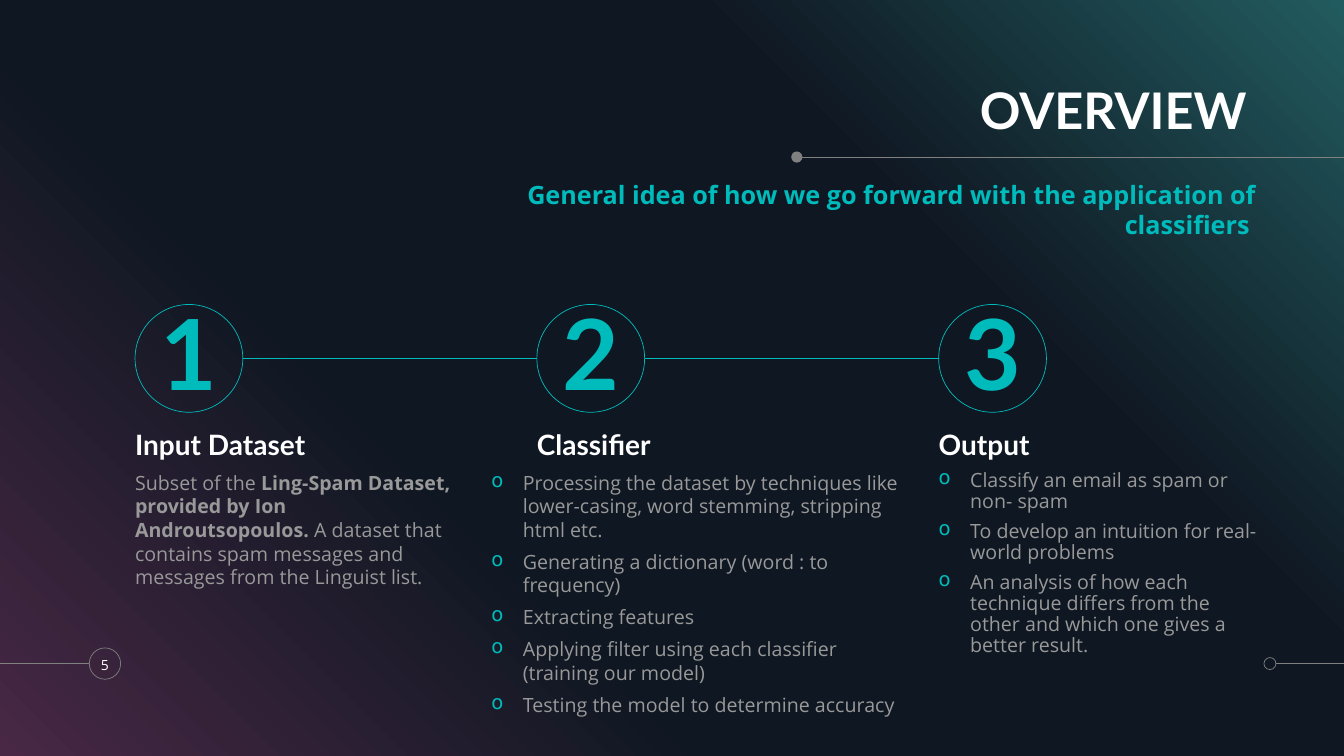
from dataclasses import dataclass
from typing import NamedTuple

from lxml import etree
from pptx import Presentation
from pptx import util as u
from pptx.dml.color import RGBColor
from pptx.enum import shapes, text
from pptx.oxml import ns


@dataclass(frozen=True)
class Theme:
    accent: str = "00BBBB"
    white: str = "FFFFFF"
    body: str = "999999"
    rule: str = "808080"
    gradient: tuple = ((0, "482845"), (34, "0F1722"), (69, "0F1722"), (100, "225B5F"))
    heading_font: str = "Lato"
    body_font: str = "Open Sans"
    title_size: float = 36
    subtitle_size: float = 18
    digit_size: float = 70
    heading_size: float = 20
    body_size: float = 14
    number_size: float = 10
    line_width: float = 0.5


class Box(NamedTuple):
    left: float
    top: float
    width: float
    height: float


class Run(NamedTuple):
    text: str
    bold: bool = False


class Style(NamedTuple):
    font: str
    size: float
    color: str
    align: text.PP_ALIGN = text.PP_ALIGN.LEFT
    anchor: text.MSO_ANCHOR = text.MSO_ANCHOR.TOP
    spacing: float = 1.0
    before: float = 0
    bullet: bool = False


class Step(NamedTuple):
    heading: str
    paragraphs: list
    body_box: Box
    body_style: Style


THEME = Theme()
ALIGN, ANCHOR = text.PP_ALIGN, text.MSO_ANCHOR
WIDTH, HEIGHT = 960, 540

TITLE = Style(THEME.heading_font, THEME.title_size, THEME.white, ALIGN.RIGHT, ANCHOR.BOTTOM, 0.9)
SUBTITLE = Style(THEME.body_font, THEME.subtitle_size, THEME.accent, ALIGN.RIGHT, before=10)
DIGIT = Style(THEME.heading_font, THEME.digit_size, THEME.accent, ALIGN.CENTER, ANCHOR.MIDDLE, 0.9, 10)
HEADING = Style(THEME.heading_font, THEME.heading_size, THEME.white, anchor=ANCHOR.BOTTOM, spacing=0.9, before=6)
BODY = Style(THEME.body_font, THEME.body_size, THEME.body, before=6)
BULLETS = BODY._replace(bullet=True)
NUMBER = Style(THEME.body_font, THEME.number_size, THEME.white, ALIGN.CENTER, ANCHOR.MIDDLE)

# Step grid
STEP_LEFT, STEP_PITCH = 96.5, 287
CIRCLE, CIRCLE_TOP = 77, 217.5
COLUMN_WIDTH, HEADING_TOP, BODY_TOP = 232, 304, 336.3
BULLET_INDENT = 22.5
FOOTER_Y = 474

STEPS = [
    Step("Input Dataset", [[
        Run("Subset of the "),
        Run("Ling-Spam Dataset, provided by Ion Androutsopoulos. ", True),
        Run("A dataset that contains spam messages and messages from the Linguist list."),
    ]], Box(STEP_LEFT, BODY_TOP, COLUMN_WIDTH, 111.5), BODY),
    Step("Classifier", [[Run(line)] for line in (
        "Processing the dataset by techniques like lower-casing, word stemming, stripping html etc.",
        "Generating a dictionary (word : to frequency)",
        "Extracting features",
        "Applying filter using each classifier (training our model)",
        "Testing the model to determine accuracy",
    )], Box(351, BODY_TOP, 299, 161), BULLETS),
    Step("Output", [[Run(line)] for line in (
        "Classify an email as spam or non- spam",
        "To develop an intuition for real-world problems",
        "An analysis of how each technique differs from the other and which one gives a better result.",
    )], Box(STEP_LEFT + 2 * STEP_PITCH, BODY_TOP, COLUMN_WIDTH, 127), BULLETS._replace(spacing=0.9)),
]


def apply(target, values: dict) -> None:
    for name, value in values.items():
        setattr(target, name, value)


def place(shape, box: Box) -> None:
    apply(shape, {name: u.Pt(value) for name, value in box._asdict().items()})


def add_bullet(paragraph) -> None:
    properties = paragraph._p.get_or_add_pPr()
    properties.set("marL", str(u.Pt(BULLET_INDENT)))
    properties.set("indent", str(-u.Pt(BULLET_INDENT)))
    color = etree.SubElement(properties, ns.qn("a:buClr"))
    etree.SubElement(color, ns.qn("a:srgbClr"), val=THEME.accent)
    etree.SubElement(properties, ns.qn("a:buChar"), char="o")


def write(shape, paragraphs: list, style: Style) -> None:
    frame = shape.text_frame
    margins = {f"margin_{side}": 0 for side in ("left", "top", "right", "bottom")}
    apply(frame, {**margins, "word_wrap": True, "auto_size": text.MSO_AUTO_SIZE.NONE,
                  "vertical_anchor": style.anchor})
    for index, runs in enumerate(paragraphs):
        paragraph = frame.add_paragraph() if index else frame.paragraphs[0]
        apply(paragraph, {"alignment": style.align, "line_spacing": style.spacing,
                          "space_before": u.Pt(style.before)})
        if style.bullet:
            add_bullet(paragraph)
        for item in runs:
            run = paragraph.add_run()
            run.text = item.text
            apply(run.font, {"name": style.font, "size": u.Pt(style.size), "bold": item.bold})
            run.font.color.rgb = RGBColor.from_string(style.color)


def add_text(slide, box: Box, paragraphs: list, style: Style) -> None:
    write(slide.shapes.add_textbox(*map(u.Pt, box)), paragraphs, style)


def add_circle(slide, box: Box, color: str, filled: bool = False):
    shape = slide.shapes.add_shape(shapes.MSO_SHAPE.OVAL, *map(u.Pt, box))
    shape.shadow.inherit = False
    if filled:
        shape.fill.solid()
        shape.fill.fore_color.rgb = RGBColor.from_string(color)
        shape.line.fill.background()
    else:
        shape.fill.background()
        shape.line.color.rgb = RGBColor.from_string(color)
        shape.line.width = u.Pt(THEME.line_width)
    return shape


def add_rule(slide, start: float, end: float, y: float, color: str) -> None:
    rule = slide.shapes.add_connector(shapes.MSO_CONNECTOR.STRAIGHT, *map(u.Pt, (start, y, end, y)))
    rule.line.color.rgb = RGBColor.from_string(color)
    rule.line.width = u.Pt(THEME.line_width)
    etree.SubElement(rule._element.spPr, ns.qn("a:effectLst"))


def set_background(slide) -> None:
    fill = slide.background.fill
    fill.gradient()
    fill.gradient_angle = 45
    stops = slide.element.find(".//" + ns.qn("a:gsLst"))
    for stop in list(stops):
        stops.remove(stop)
    for position, color in THEME.gradient:
        stop = etree.SubElement(stops, ns.qn("a:gs"), pos=str(position * 1000))
        etree.SubElement(stop, ns.qn("a:srgbClr"), val=color)


def add_step(slide, index: int, step: Step) -> None:
    left = STEP_LEFT + index * STEP_PITCH
    if index:
        add_rule(slide, left - STEP_PITCH + CIRCLE, left, CIRCLE_TOP + CIRCLE / 2, THEME.accent)
    circle = add_circle(slide, Box(left, CIRCLE_TOP, CIRCLE, CIRCLE), THEME.accent)
    write(circle, [[Run(str(index + 1), True)]], DIGIT)
    add_text(slide, Box(left, HEADING_TOP, COLUMN_WIDTH, 26), [[Run(step.heading, True)]], HEADING)
    add_text(slide, step.body_box, step.paragraphs, step.body_style)


presentation = Presentation()
apply(presentation, {"slide_width": u.Pt(WIDTH), "slide_height": u.Pt(HEIGHT)})
slide = presentation.slides.add_slide(presentation.slide_layouts[5])
set_background(slide)

# Title and subtitle
title = slide.shapes.title
place(title, Box(402, 55.4, 497, 44.6))
write(title, [[Run("OVERVIEW ", True)]], TITLE)
add_rule(slide, 572, WIDTH, 112.2, THEME.rule)
add_circle(slide, Box(565.2, 108.2, 8, 8), THEME.rule, filled=True)
add_text(slide, Box(372.3, 128.2, 525, 44.6), [[
    Run("General idea of how we go forward with the application of classifiers ", True)]], SUBTITLE)

# Numbered steps
for index, step in enumerate(STEPS):
    add_step(slide, index, step)

# Footer rules and slide number
add_rule(slide, 0, 63.5, FOOTER_Y, THEME.rule)
add_circle(slide, Box(63.8, FOOTER_Y - 11.2, 22.4, 22.4), THEME.rule)
add_text(slide, Box(61, FOOTER_Y - 11, 28, 24), [[Run("5")]], NUMBER)
add_circle(slide, Box(902.8, FOOTER_Y - 4.3, 8.6, 8.6), THEME.rule)
add_rule(slide, 911.4, WIDTH, FOOTER_Y, THEME.rule)

presentation.save("out.pptx")
